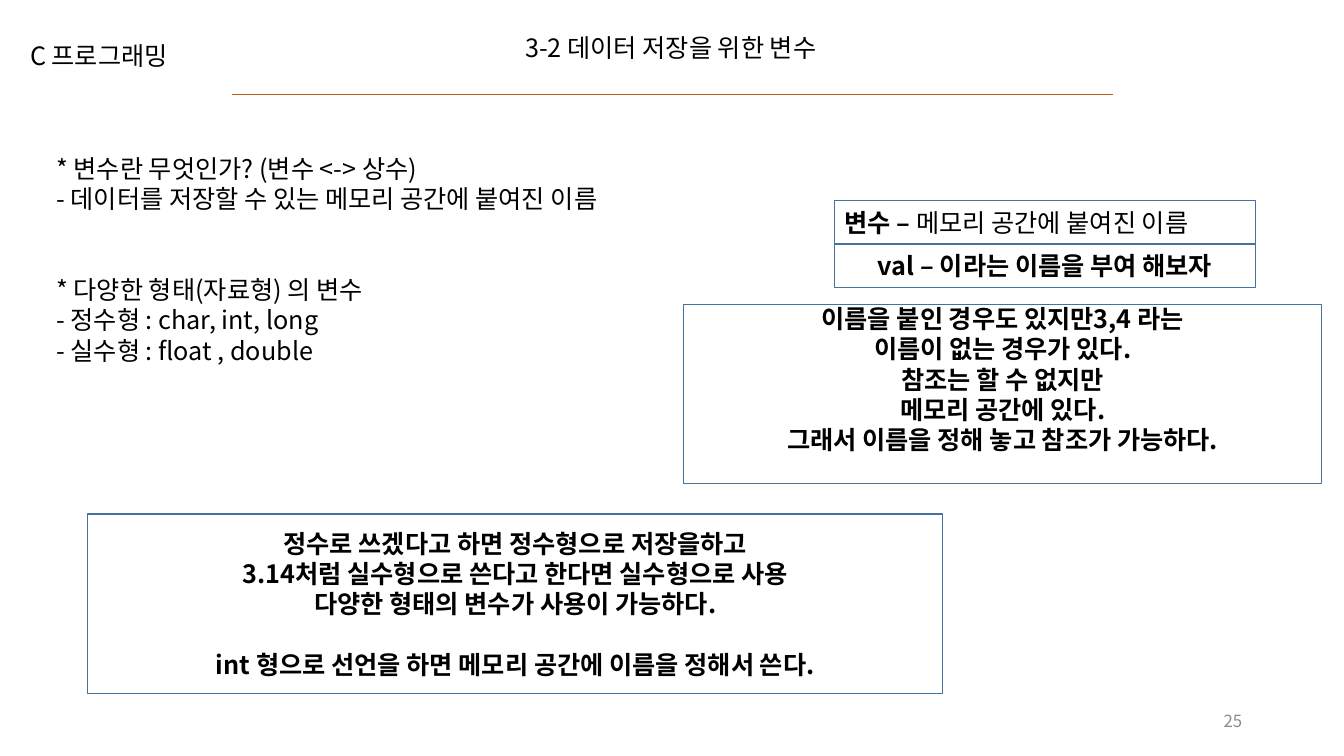
from lxml import etree
from pptx import Presentation
from pptx import util as u
from pptx.dml.color import RGBColor
from pptx.enum import shapes, text
from pptx.oxml.ns import qn

THEME = {
    "font": "Noto Sans CJK KR", "body": 18, "number": 12, "line_height": 21.7,
    "ink": "000000", "muted": "8C8C8C", "border": "43739E", "rule": "C55A11",
}
LEFT, CENTER, RIGHT = text.PP_ALIGN.LEFT, text.PP_ALIGN.CENTER, text.PP_ALIGN.RIGHT

RULE = (2.3, 11.04, 0.94)
PAGE_NUMBER = ("25", (9.42, 6.95, 3, 0.4))

LABELS = [
    ((0.2, 0.35, 1.71, 0.4), [["C 프로그래밍"]]),
    ((5.11, 0.27, 3.46, 0.4), [["3-2 데이터 저장을 위한 변수"]]),
    ((0.46, 1.47, 6.32, 2.22), [
        ["* 변수란 무엇인가? (변수 <-> 상수)",
         "- 데이터를 저장할 수 있는 메모리 공간에 붙여진 이름"],
        ["* 다양한 형태(자료형) 의 변수",
         "- 정수형 : char, int, long",
         "- 실수형 : float , double"],
    ]),
]

VARIABLE_LEFT, VARIABLE_TOP, VARIABLE_WIDTH, VARIABLE_HEIGHT = 8.28, 1.99, 4.17, 0.43
VARIABLE_ROWS = [
    (LEFT, [("변수 – ", True), ("메모리 공간에 붙여진 이름", False)]),
    (CENTER, "val – 이라는 이름을 부여 해보자"),
]

NOTES = [
    ((6.78, 3.02, 6.33, 1.78), (0, 0.3), [[
        "이름을 붙인 경우도 있지만3,4 라는",
        "이름이 없는 경우가 있다.",
        "참조는 할 수 없지만",
        "메모리 공간에 있다.",
        "그래서 이름을 정해 놓고 참조가 가능하다.",
    ]]),
    ((0.87, 5.1, 8.48, 1.78), (0.05, 0.05), [
        ["정수로 쓰겠다고 하면 정수형으로 저장을하고",
         "3.14처럼 실수형으로 쓴다고 한다면 실수형으로 사용",
         "다양한 형태의 변수가 사용이 가능하다."],
        ["int 형으로 선언을 하면 메모리 공간에 이름을 정해서 쓴다."],
    ]),
]


def color(name):
    return RGBColor.from_string(THEME[name])


def inches(box):
    return [u.Inches(length) for length in box]


def write(frame, groups, align=LEFT, bold=None, size="body", ink="ink", gap_lines=1):
    lines = [(line, group > 0 and index == 0)
             for group, members in enumerate(groups)
             for index, line in enumerate(members)]
    for number, (line, starts_group) in enumerate(lines):
        paragraph = frame.add_paragraph() if number else frame.paragraphs[0]
        paragraph.alignment = align
        if starts_group:
            paragraph.space_before = u.Pt(gap_lines * THEME["line_height"])
        font = paragraph.font
        font.name, font.size = THEME["font"], u.Pt(THEME[size])
        font.color.rgb = color(ink)
        if isinstance(line, str):
            font.bold = bold
            paragraph.add_run().text = line
        else:
            for words, run_bold in line:
                run = paragraph.add_run()
                run.text, run.font.bold = words, run_bold
        defaults = paragraph._p.find(".//" + qn("a:defRPr"))
        etree.SubElement(defaults, qn("a:ea")).set("typeface", THEME["font"])


def add_label(slide, box, groups):
    frame = slide.shapes.add_textbox(*inches(box)).text_frame
    frame.word_wrap = False
    frame.auto_size = text.MSO_AUTO_SIZE.SHAPE_TO_FIT_TEXT
    write(frame, groups, gap_lines=2)


def add_frame(slide, box, groups, align=CENTER, insets=(0.05, 0.05)):
    shape = slide.shapes.add_shape(shapes.MSO_SHAPE.RECTANGLE, *inches(box))
    shape.shadow.inherit = False
    shape.fill.background()
    shape.line.color.rgb = color("border")
    shape.line.width = u.Pt(1)
    frame = shape.text_frame
    frame.word_wrap = True
    frame.vertical_anchor = text.MSO_ANCHOR.MIDDLE
    frame.margin_top, frame.margin_bottom = inches(insets)
    write(frame, groups, align, bold=True)


def add_rule(slide):
    start, end, top = inches(RULE)
    rule = slide.shapes.add_connector(shapes.MSO_CONNECTOR.STRAIGHT, start, top, end, top)
    rule.line.color.rgb = color("rule")
    rule.line.width = u.Pt(0.5)
    etree.SubElement(rule._element.spPr, qn("a:effectLst"))


def add_page_number(slide):
    number, box = PAGE_NUMBER
    frame = slide.shapes.add_textbox(*inches(box)).text_frame
    frame.word_wrap = True
    frame.vertical_anchor = text.MSO_ANCHOR.MIDDLE
    write(frame, [[number]], RIGHT, size="number", ink="muted")


def main():
    presentation = Presentation()
    presentation.slide_width, presentation.slide_height = inches((13.33, 7.5))
    slide = presentation.slides.add_slide(presentation.slide_layouts[6])
    add_rule(slide)
    for box, groups in LABELS:
        add_label(slide, box, groups)
    for row, (align, line) in enumerate(VARIABLE_ROWS):
        top = VARIABLE_TOP + row * VARIABLE_HEIGHT
        add_frame(slide, (VARIABLE_LEFT, top, VARIABLE_WIDTH, VARIABLE_HEIGHT), [[line]], align)
    for box, insets, groups in NOTES:
        add_frame(slide, box, groups, insets=insets)
    add_page_number(slide)
    presentation.save("out.pptx")


if __name__ == "__main__":
    main()
